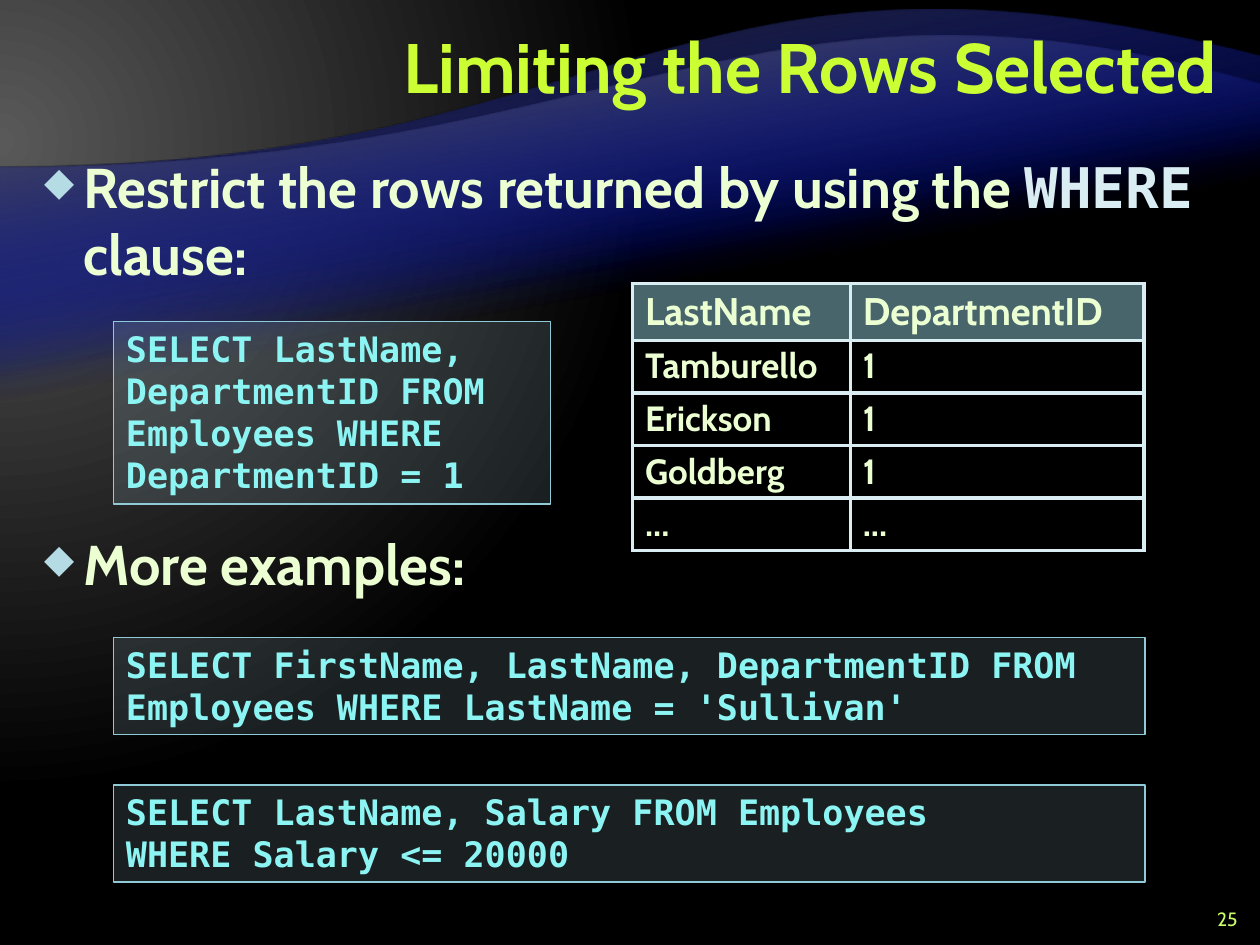
from lxml import etree
from pptx import Presentation
from pptx import util as u
from pptx.dml.color import RGBColor
from pptx.enum import shapes, text
from pptx.oxml.ns import nsdecls, qn

Cm, Pt = u.Cm, u.Pt
LIME = RGBColor(0xCC, 0xFF, 0x33)
PALE_LIME = RGBColor(0xCC, 0xFF, 0x66)
CREAM = RGBColor(0xEB, 0xFF, 0xD2)
ICE = RGBColor(0xDA, 0xED, 0xF2)
AQUA = RGBColor(0x8C, 0xF4, 0xF2)
MIST = RGBColor(0xB5, 0xDB, 0xE5)
TEAL = RGBColor(0x90, 0xCA, 0xD7)
NAVY = RGBColor(0x00, 0x0D, 0x9E)
DARK_GREY = RGBColor(0x26, 0x26, 0x26)
GREY = RGBColor(0x59, 0x59, 0x59)
BLACK = RGBColor(0, 0, 0)
SANS, MONO = "Cabin", "DejaVu Sans Mono"


def child(parent, tag, **attributes):
    return etree.SubElement(parent, qn(tag), attributes)


def set_alpha(holder, percent):
    color = next(holder.iter(qn("a:solidFill")))[0]
    child(color, "a:alpha", val=str(percent * 1000))


def set_gradient(holder, stops, shade):
    """Swap the solid fill in holder for stops of (position, colour, alpha)."""
    marks = "".join(
        f'<a:gs pos="{position * 1000}"><a:srgbClr val="{color}">'
        f'<a:alpha val="{alpha * 1000}"/></a:srgbClr></a:gs>'
        for position, color, alpha in stops)
    gradient = etree.fromstring(
        f'<a:gradFill {nsdecls("a")} rotWithShape="1">'
        f"<a:gsLst>{marks}</a:gsLst>{shade}</a:gradFill>")
    holder.replace(holder.find(qn("a:solidFill")), gradient)


def add_background(page):
    page.background.fill.solid()
    holder = page.element.find(".//" + qn("p:bgPr"))
    set_gradient(holder, [(0, GREY, 100), (83, BLACK, 100)],
                 '<a:path path="circle"><a:fillToRect l="20000" t="30000" '
                 'r="135000" b="100000"/></a:path>')


def add_wave(page, box, start, controls, color):
    """Fill box below a curve that runs from start, at the left, to the top right."""
    left, top, width, height = box
    builder = page.shapes.build_freeform(Cm(left + width), Cm(top + height))
    builder.add_line_segments([(Cm(left), Cm(top + height)),
                               (Cm(left), Cm(top + start)),
                               (Cm(left + width), Cm(top))])
    wave = builder.convert_to_shape()
    wave.shadow.inherit = False
    wave.line.fill.background()
    wave.fill.solid()
    properties = wave.element.spPr
    straight = list(properties.iter(qn("a:lnTo")))[2]
    curve = etree.Element(qn("a:cubicBezTo"))
    for x, y in controls:
        child(curve, "a:pt", x=str(Cm(x)), y=str(Cm(y)))
    curve.append(straight[0])
    straight.getparent().replace(straight, curve)
    set_gradient(properties, [(65, NAVY, 0), (100, color, 100)],
                 '<a:lin ang="15600000" scaled="0"/>')


def add_span(para, words, size, color, font=SANS, bold=True):
    span = para.add_run()
    span.text = words
    span.font.size = Pt(size)
    span.font.name = font
    span.font.bold = bold
    span.font.color.rgb = color


def add_text_box(page, box, anchor=text.MSO_ANCHOR.TOP):
    frame = page.shapes.add_textbox(*map(Cm, box)).text_frame
    frame.word_wrap = True
    frame.vertical_anchor = anchor
    return frame


def add_title(page, box, words):
    para = add_text_box(page, box, text.MSO_ANCHOR.MIDDLE).paragraphs[0]
    para.alignment = text.PP_ALIGN.RIGHT
    para.line_spacing = Pt(40)
    add_span(para, words, 40, LIME)


def add_page_number(page, box, number):
    para = add_text_box(page, box, text.MSO_ANCHOR.MIDDLE).paragraphs[0]
    para.alignment = text.PP_ALIGN.RIGHT
    add_span(para, number, 11, PALE_LIME, bold=False)


def add_bullets(page, box, items):
    """Each item is its space before, in points, and its (words, colour, font) spans."""
    frame = add_text_box(page, box)
    for index, (space, spans) in enumerate(items):
        para = frame.add_paragraph() if index else frame.paragraphs[0]
        properties = para._p.get_or_add_pPr()
        properties.set("marL", str(Cm(0.79)))
        properties.set("indent", str(-Cm(0.79)))
        child(child(properties, "a:buClr"), "a:srgbClr", val=str(MIST))
        child(properties, "a:buSzPct", val="70000")
        child(properties, "a:buChar", char="◆")
        para.line_spacing = Pt(38)
        para.space_before = Pt(space)
        para.space_after = Pt(6)
        for words, color, font in spans:
            add_span(para, words, 32, color, font)


def add_code(page, box, lines):
    panel = page.shapes.add_shape(shapes.MSO_SHAPE.RECTANGLE, *map(Cm, box))
    panel.shadow.inherit = False
    panel.fill.solid()
    panel.fill.fore_color.rgb = MIST
    set_alpha(panel.element.spPr, 15)
    panel.line.color.rgb = TEAL
    panel.line.width = Pt(1)
    frame = panel.text_frame
    frame.word_wrap = True
    frame.auto_size = text.MSO_AUTO_SIZE.SHAPE_TO_FIT_TEXT
    frame.vertical_anchor = text.MSO_ANCHOR.TOP
    for index, line in enumerate(lines):
        para = frame.add_paragraph() if index else frame.paragraphs[0]
        para.alignment = text.PP_ALIGN.LEFT
        add_span(para, line, 20, AQUA, MONO)


def add_borders(cell):
    properties = cell._tc.get_or_add_tcPr()
    for index, side in enumerate(("a:lnL", "a:lnR", "a:lnT", "a:lnB")):
        line = etree.Element(qn(side), w=str(Pt(2.25)))
        child(child(line, "a:solidFill"), "a:srgbClr", val=str(ICE))
        properties.insert(index, line)


def add_result_table(page, left, top, widths, rows):
    heights = [1.14] + [1.06] * (len(rows) - 1)
    table = page.shapes.add_table(len(rows), len(widths), Cm(left), Cm(top),
                                  Cm(sum(widths)), Cm(sum(heights))).table
    table.first_row = table.horz_banding = False
    for column, width in zip(table.columns, widths):
        column.width = Cm(width)
    for index, (row, values) in enumerate(zip(table.rows, rows)):
        row.height = Cm(heights[index])
        for cell, value in zip(row.cells, values):
            if index == 0:
                cell.fill.solid()
                cell.fill.fore_color.rgb = TEAL
                set_alpha(cell._tc.tcPr, 50)
            else:
                cell.fill.background()
            add_borders(cell)
            para = cell.text_frame.paragraphs[0]
            para.line_spacing = 0.95
            add_span(para, value, 20 if index else 22, CREAM)


def main():
    deck = Presentation()
    deck.slide_width, deck.slide_height = Cm(25.4), Cm(19.05)
    page = deck.slides.add_slide(deck.slide_layouts[6])
    add_background(page)
    for _ in range(2):
        add_wave(page, (0, 1.14, 25.4, 15.44), 2.24,
                 [(12.7, 2.24), (13.56, -3.05)], DARK_GREY)
        add_wave(page, (0, 1.7, 25.4, 12.45), 1.68,
                 [(12.7, 1.68), (15.19, -2.95)], GREY)
    add_title(page, (5.08, 0.2, 19.69, 2.54), "Limiting the Rows Selected")
    add_bullets(page, (0.64, 2.97, 24.13, 15.67), [
        (0, [("Restrict the rows returned by using the ", CREAM, SANS),
             ("WHERE", ICE, MONO), (" clause:", CREAM, SANS)]),
        (133, [("More examples:", CREAM, SANS)])])
    add_page_number(page, (23.93, 18.21, 1.27, 0.64), "25")
    add_code(page, (2.29, 6.48, 8.81, 3.68), [
        "SELECT LastName, DepartmentID FROM Employees WHERE DepartmentID = 1"])
    add_code(page, (2.29, 12.85, 20.8, 1.96), [
        "SELECT FirstName, LastName, DepartmentID FROM Employees "
        "WHERE LastName = 'Sullivan'"])
    add_result_table(page, 12.75, 5.72, [4.39, 5.92], [
        ("LastName", "DepartmentID"), ("Tamburello", "1"),
        ("Erickson", "1"), ("Goldberg", "1"), ("...", "...")])
    add_code(page, (2.29, 15.82, 20.8, 1.96), [
        "SELECT LastName, Salary FROM Employees", "WHERE Salary <= 20000"])
    deck.save("out.pptx")


if __name__ == "__main__":
    main()
